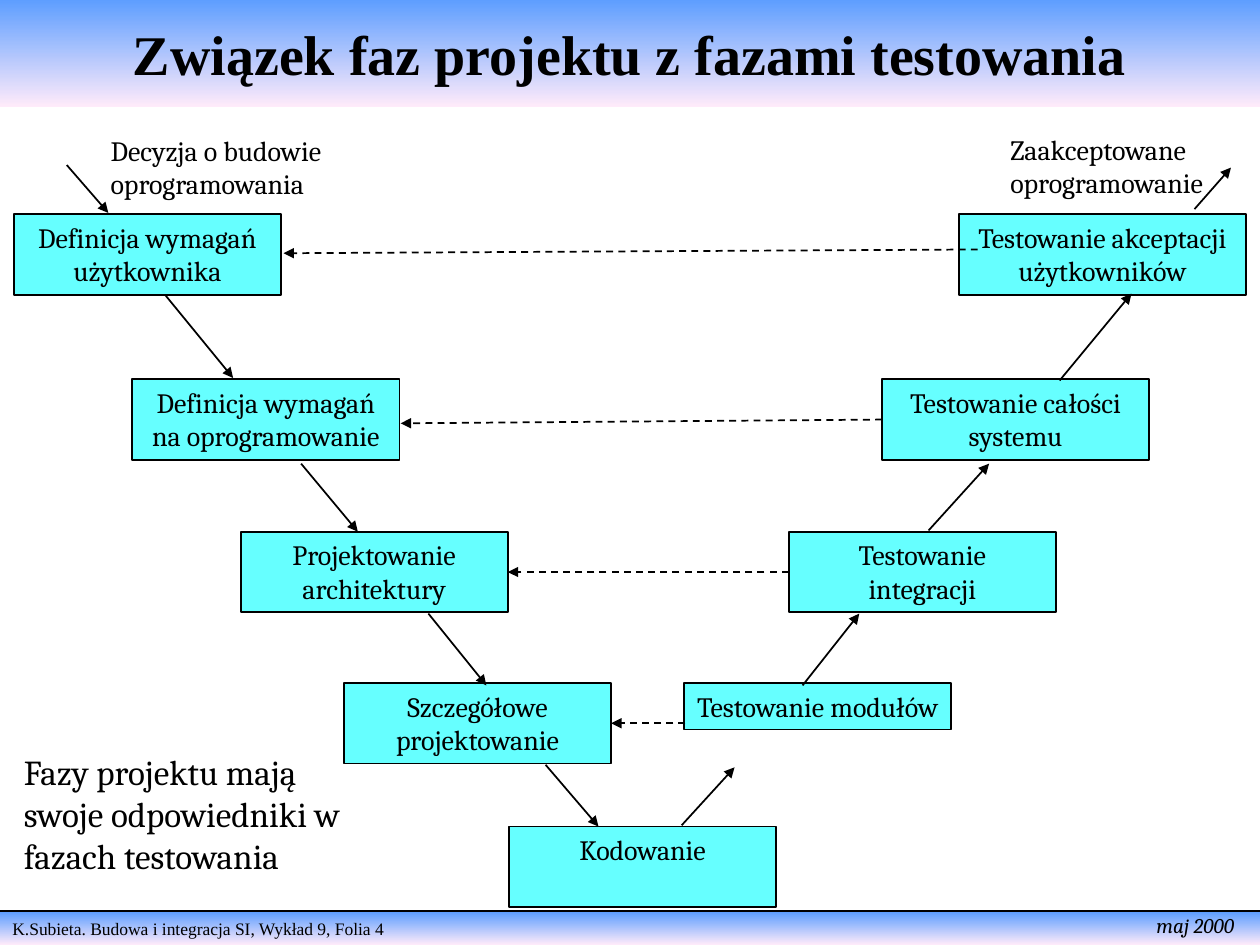
"""Build the slide relating project phases to testing phases as a V-model."""
from dataclasses import dataclass

from lxml.etree import SubElement
from pptx import Presentation
from pptx.dml.color import RGBColor
from pptx.enum.dml import MSO_LINE
from pptx.enum.shapes import MSO_CONNECTOR, MSO_SHAPE
from pptx.enum.text import MSO_ANCHOR, MSO_AUTO_SIZE as AutoSize, PP_ALIGN as Align
from pptx.oxml.ns import qn
from pptx.util import Inches, Pt


@dataclass(frozen=True)
class Theme:
    ink: RGBColor = RGBColor.from_string("000000")
    box: RGBColor = RGBColor.from_string("66FFFF")
    band: tuple = (RGBColor.from_string("5E9EFF"), RGBColor.from_string("FFEBFA"))
    heading_font: str = "Times New Roman"
    body_font: str = "Cambria"
    title: int = 32
    remark: int = 20
    body: int = 16
    date: int = 12
    footer: int = 10
    line: int = 1


THEME = Theme()
SLIDE_WIDTH, SLIDE_HEIGHT = 10, 7.5
FOOTER_TOP = 7.24
BOX_WIDTH, BOX_HEIGHT = 2.12, 0.64
TOP, LEFT, BOTTOM, RIGHT = range(4)

TITLE = "Związek faz projektu z fazami testowania"
FOOTER = "K.Subieta. Budowa i integracja SI, Wykład 9, Folia 4"
DATE = "maj 2000"

PHASES = {
    "user": ("Definicja wymagań użytkownika", 0.11, 1.7),
    "software": ("Definicja wymagań na oprogramowanie", 1.05, 3.01),
    "architecture": ("Projektowanie architektury", 1.91, 4.22),
    "detail": ("Szczegółowe projektowanie", 2.73, 5.42),
    "coding": ("Kodowanie", 4.04, 6.56),
    "modules": ("Testowanie modułów", 5.43, 5.42),
    "integration": ("Testowanie\nintegracji", 6.26, 4.22),
    "system": ("Testowanie całości systemu", 7, 3.01),
    "acceptance": ("Testowanie akceptacji użytkowników", 7.61, 1.7),
}
SPECIAL_SIZES = {"modules": (BOX_WIDTH, 0.37), "acceptance": (2.28, BOX_HEIGHT)}

FLOW = [
    ((0.53, 1.31), (0.86, 1.69)),
    ((1.31, 2.34), (1.85, 3)),
    ((2.39, 3.68), (2.84, 4.22)),
    ((3.4, 4.87), (3.86, 5.44)),
    ((4.33, 6.07), (4.75, 6.56)),
    ((5.41, 6.55), (5.83, 6.09)),
    ((6.37, 5.44), (6.82, 4.87)),
    ((7.37, 4.21), (7.85, 3.68)),
    ((8.41, 3.02), (8.98, 2.33)),
    ((9.48, 1.66), (9.77, 1.33)),
]

CORRESPONDENCE = [
    ((5.44, 5.74), (4.85, 5.74), None, "detail"),
    ((6.26, 4.54), (4.03, 4.54), "integration", "architecture"),
    ((7, 3.33), (3.18, 3.36), "system", None),
    ((7.76, 1.98), (2.25, 2.01), None, None),
]

NOTES = [
    ("Decyzja o budowie oprogramowania", (0.78, 1.01, 2.13, 0.64), THEME.body),
    ("Zaakceptowane oprogramowanie", (7.92, 1, 2.13, 0.64), THEME.body),
    ("Fazy projektu mają swoje odpowiedniki w fazach testowania",
     (0.09, 5.91, 2.82, 1.1), THEME.remark),
]


def write(shape, text, size, font=THEME.body_font, align=Align.LEFT, anchor=MSO_ANCHOR.TOP,
          bold=False, italic=False, wrap=True, auto_size=AutoSize.SHAPE_TO_FIT_TEXT):
    frame = shape.text_frame
    frame.text = text
    frame.word_wrap = wrap
    frame.auto_size = auto_size
    frame.vertical_anchor = anchor
    for paragraph in frame.paragraphs:
        paragraph.alignment = align
        paragraph.font.name = font
        paragraph.font.size = Pt(size)
        paragraph.font.bold = bold
        paragraph.font.italic = italic
        paragraph.font.color.rgb = THEME.ink


def fill_band(shape):
    shape.fill.gradient()
    shape.fill.gradient_angle = 270
    for stop, color in zip(shape.fill.gradient_stops, THEME.band):
        stop.color.rgb = color


def add_rectangle(slide, left, top, width, height):
    shape = slide.shapes.add_shape(MSO_SHAPE.RECTANGLE, *map(Inches, (left, top, width, height)))
    shape.shadow.inherit = False
    return shape


def add_text(slide, text, place, size, **style):
    write(slide.shapes.add_textbox(*map(Inches, place)), text, size, **style)


def add_line(slide, start, end, arrow=True, dashed=False):
    connector = slide.shapes.add_connector(MSO_CONNECTOR.STRAIGHT, *map(Inches, start + end))
    connector.line.color.rgb = THEME.ink
    connector.line.width = Pt(THEME.line)
    if dashed:
        connector.line.dash_style = MSO_LINE.DASH
    if arrow:
        SubElement(connector.line._get_or_add_ln(), qn("a:tailEnd"), type="triangle")
    SubElement(connector._element.spPr, qn("a:effectLst"))
    return connector


def add_frame(slide):
    footer = add_rectangle(slide, 0, FOOTER_TOP, SLIDE_WIDTH, SLIDE_HEIGHT - FOOTER_TOP)
    fill_band(footer)
    footer.line.fill.background()
    write(footer, FOOTER, THEME.footer, font=THEME.heading_font)
    add_line(slide, (0, 7.23), (SLIDE_WIDTH, 7.23), arrow=False)
    add_text(slide, DATE, (9.08, 7.19, 0.82, 0.3), THEME.date, italic=True, wrap=False)

    title = slide.shapes.title
    title.left, title.top, title.width, title.height = map(Inches, (0, 0, SLIDE_WIDTH, 0.85))
    fill_band(title)
    write(title, TITLE, THEME.title, font=THEME.heading_font, align=Align.CENTER,
          anchor=MSO_ANCHOR.MIDDLE, bold=True, auto_size=AutoSize.NONE)


def add_phase(slide, name):
    text, left, top = PHASES[name]
    box = add_rectangle(slide, left, top, *SPECIAL_SIZES.get(name, (BOX_WIDTH, BOX_HEIGHT)))
    box.fill.solid()
    box.fill.fore_color.rgb = THEME.box
    box.line.color.rgb = THEME.ink
    box.line.width = Pt(THEME.line)
    write(box, text, THEME.body, align=Align.CENTER)
    return box


def main():
    presentation = Presentation()
    presentation.slide_width = Inches(SLIDE_WIDTH)
    presentation.slide_height = Inches(SLIDE_HEIGHT)
    slide = presentation.slides.add_slide(presentation.slide_layouts[5])
    add_frame(slide)
    boxes = {name: add_phase(slide, name) for name in PHASES}
    for start, end in FLOW:
        add_line(slide, start, end)
    for start, end, test, phase in CORRESPONDENCE:
        connector = add_line(slide, start, end, dashed=True)
        if test:
            connector.begin_connect(boxes[test], LEFT)
        if phase:
            connector.end_connect(boxes[phase], RIGHT)
    for text, place, size in NOTES:
        add_text(slide, text, place, size)
    presentation.save("out.pptx")


if __name__ == "__main__":
    main()
